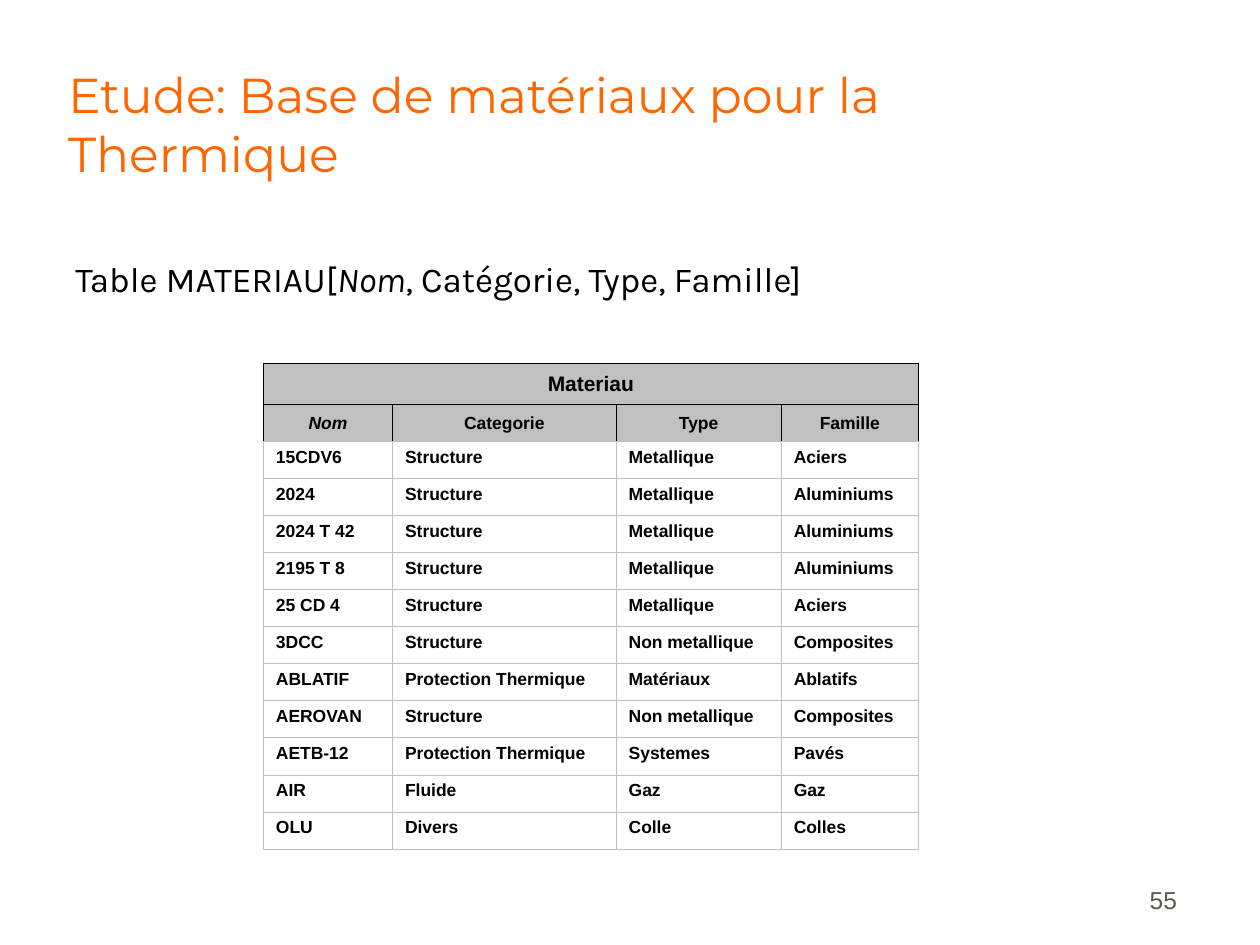
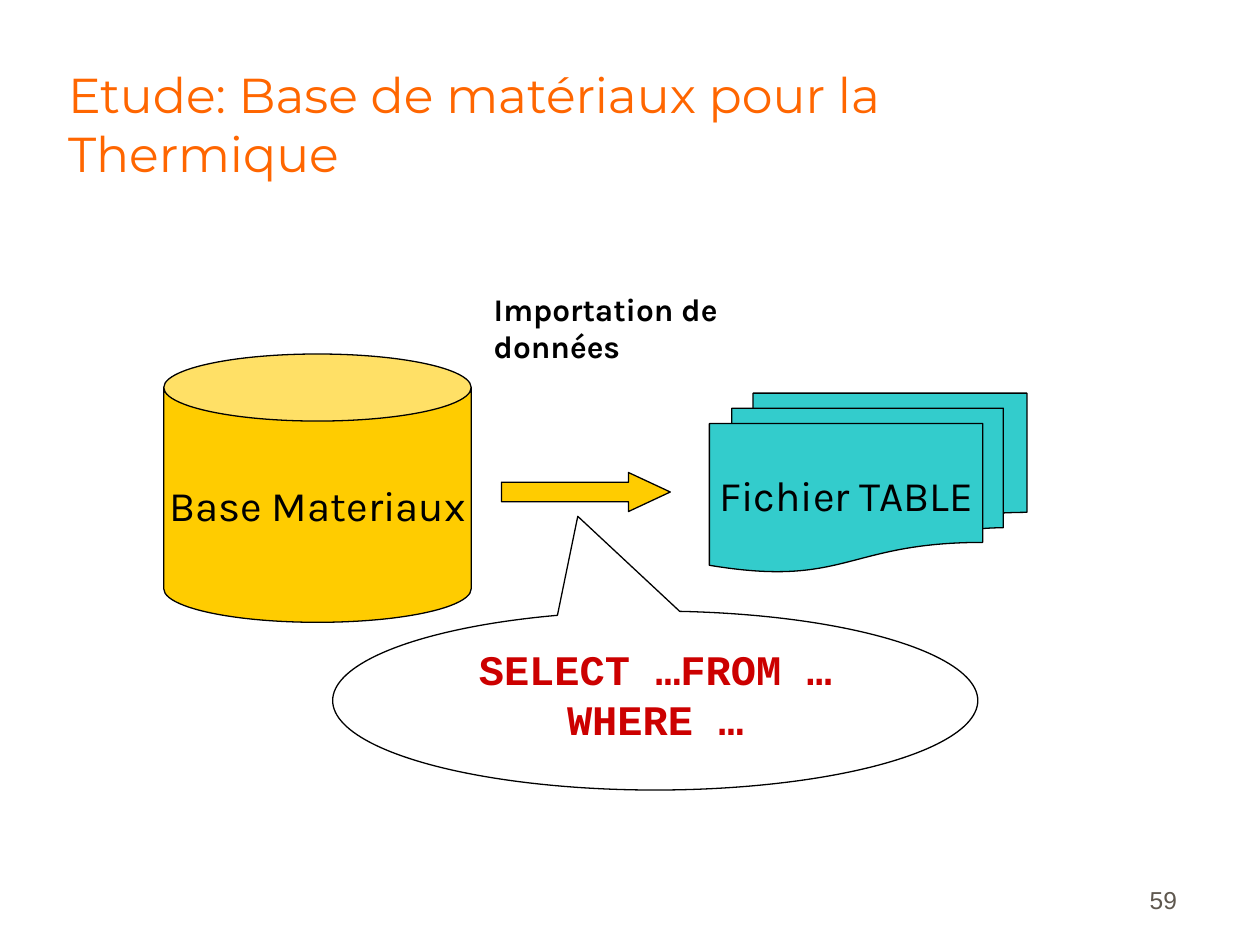
from dataclasses import dataclass
from typing import NamedTuple, Optional

import pptx
import pptx.dml.color
import pptx.enum.shapes
import pptx.enum.text
import pptx.oxml
import pptx.oxml.ns
import pptx.util
from pptx.presentation import Presentation
from pptx.shapes.autoshape import Shape
from pptx.slide import Slide
from pptx.table import _Cell as Cell
from pptx.text.text import TextFrame

Align = pptx.enum.text.PP_ALIGN
Anchor = pptx.enum.text.MSO_ANCHOR
Preset = pptx.enum.shapes.MSO_SHAPE

SLIDE_WIDTH = pptx.util.Inches(10)
SLIDE_HEIGHT = pptx.util.Inches(7.5)
GRID_COLUMNS, GRID_ROWS = 100, 75
TITLE_ONLY_LAYOUT = 5
TITLE = "Etude: Base de matériaux pour la Thermique"


@dataclass(frozen=True)
class Theme:
    title_color: str = "FF6600"
    text_color: str = "000000"
    number_color: str = "5E574E"
    query_color: str = "CC0000"
    database_fill: str = "FFCC00"
    file_fill: str = "33CCCC"
    header_fill: str = "C0C0C0"
    cell_fill: str = "FFFFFF"
    dark_border: str = "000000"
    light_border: str = "C0C0C0"
    title_font: str = "Montserrat"
    body_font: str = "Karla"
    table_font: str = "Arial"
    code_font: str = "Courier New"
    title_size: int = 28
    diagram_size: int = 24
    body_size: int = 20
    label_size: int = 18
    number_size: int = 14
    table_title_size: int = 12
    table_size: int = 10
    outline_width: float = 0.75
    border_width: float = 0.45


THEME = Theme()


class Frame(NamedTuple):
    """A rectangle in grid columns and rows."""
    left: float
    top: float
    width: float
    height: float


@dataclass(frozen=True)
class DiagramShape:
    preset: Preset
    frame: Frame
    fill: Optional[str] = None
    text: str = ""
    adjustments: tuple[float, ...] = ()
    font: str = THEME.body_font
    color: str = THEME.text_color
    bold: bool = False
    wrap: bool = False
    anchor: Anchor = Anchor.MIDDLE


NUMBER_FRAME = Frame(73.6, 68.1, 20.8, 5)
TABLE_LEFT, TABLE_TOP = 20.9, 28.8
TABLE_COLUMNS = (10.25, 17.75, 13.1, 10.9)
TABLE_TITLE_ROW, TABLE_ROW = 3.33, 2.94

TABLE_TITLE = "Materiau"
TABLE_HEADER = ("*Nom*", "Categorie", "Type", "Famille")
MATERIALS = (
    ("15CDV6", "Structure", "Metallique", "Aciers"),
    ("2024", "Structure", "Metallique", "Aluminiums"),
    ("2024 T 42", "Structure", "Metallique", "Aluminiums"),
    ("2195 T 8", "Structure", "Metallique", "Aluminiums"),
    ("25 CD 4", "Structure", "Metallique", "Aciers"),
    ("3DCC", "Structure", "Non metallique", "Composites"),
    ("ABLATIF", "Protection Thermique", "Matériaux", "Ablatifs"),
    ("AEROVAN", "Structure", "Non metallique", "Composites"),
    ("AETB-12", "Protection Thermique", "Systemes", "Pavés"),
    ("AIR", "Fluide", "Gaz", "Gaz"),
    ("OLU", "Divers", "Colle", "Colles"),
)

DATABASE = DiagramShape(Preset.CAN, Frame(13, 28.1, 24.4, 21.3),
                        THEME.database_fill, "Base Materiaux", (0.25,))
FILES = DiagramShape(Preset.FLOWCHART_MULTIDOCUMENT, Frame(56.3, 31.2, 25.2, 14.2),
                     THEME.file_fill, "Fichier TABLE")
IMPORT_ARROW = DiagramShape(Preset.RIGHT_ARROW, Frame(39.8, 37.5, 13.4, 3.1),
                            THEME.database_fill, adjustments=(0.5, 1.07))
QUERY = DiagramShape(Preset.OVAL_CALLOUT, Frame(26.4, 48.5, 51.2, 14.2),
                     text="SELECT …FROM … WHERE …", adjustments=(-0.12, -1.03),
                     font=THEME.code_font, color=THEME.query_color,
                     bold=True, wrap=True, anchor=Anchor.TOP)


def across(columns: float) -> int:
    return round(SLIDE_WIDTH * columns / GRID_COLUMNS)


def down(rows: float) -> int:
    return round(SLIDE_HEIGHT * rows / GRID_ROWS)


def place(frame: Frame) -> tuple[int, int, int, int]:
    return across(frame.left), down(frame.top), across(frame.width), down(frame.height)


def rgb(color: str) -> pptx.dml.color.RGBColor:
    return pptx.dml.color.RGBColor.from_string(color)


def write_text(text_frame: TextFrame, text: str, *, size: float,
               font: str = THEME.body_font, color: str = THEME.text_color,
               bold: bool = False, align: Align = Align.LEFT,
               anchor: Anchor = Anchor.TOP, wrap: bool = True,
               line_spacing: Optional[float] = None) -> None:
    """Write one paragraph; parts between asterisks are italic."""
    text_frame.word_wrap = wrap
    text_frame.vertical_anchor = anchor
    paragraph = text_frame.paragraphs[0]
    paragraph.alignment = align
    paragraph.line_spacing = line_spacing
    for index, part in enumerate(text.split("*")):
        if not part:
            continue
        run = paragraph.add_run()
        run.text = part
        run.font.name = font
        run.font.size = pptx.util.Pt(size)
        run.font.bold = bold
        run.font.italic = index % 2 == 1
        run.font.color.rgb = rgb(color)


def add_text(slide: Slide, frame: Frame, text: str, **text_format) -> None:
    box = slide.shapes.add_textbox(*place(frame))
    write_text(box.text_frame, text, **text_format)


def add_study_slide(presentation: Presentation, title_frame: Frame, number: int) -> Slide:
    slide = presentation.slides.add_slide(presentation.slide_layouts[TITLE_ONLY_LAYOUT])
    title = slide.shapes.title
    title.left, title.top, title.width, title.height = place(title_frame)
    title.text_frame.auto_size = pptx.enum.text.MSO_AUTO_SIZE.NONE
    write_text(title.text_frame, TITLE, size=THEME.title_size, font=THEME.title_font,
               color=THEME.title_color, anchor=Anchor.BOTTOM)
    add_text(slide, NUMBER_FRAME, str(number), size=THEME.number_size,
             font=THEME.table_font, color=THEME.number_color,
             align=Align.RIGHT, anchor=Anchor.BOTTOM)
    return slide


def set_borders(cell: Cell, color: str, bottom_color: str) -> None:
    properties = cell._tc.get_or_add_tcPr()
    width = pptx.util.Pt(THEME.border_width)
    colors = {"lnL": color, "lnR": color, "lnT": color, "lnB": bottom_color}
    for index, (side, side_color) in enumerate(colors.items()):
        properties.insert(index, pptx.oxml.parse_xml(
            f'<a:{side} {pptx.oxml.ns.nsdecls("a")} w="{width}"><a:solidFill>'
            f'<a:srgbClr val="{side_color}"/></a:solidFill></a:{side}>'))


def add_materials_table(slide: Slide) -> None:
    title_row = (TABLE_TITLE,) + ("",) * (len(TABLE_COLUMNS) - 1)
    rows = (title_row, TABLE_HEADER) + MATERIALS
    heights = (TABLE_TITLE_ROW,) + (TABLE_ROW,) * (len(rows) - 1)
    frame = Frame(TABLE_LEFT, TABLE_TOP, sum(TABLE_COLUMNS), sum(heights))
    table = slide.shapes.add_table(len(rows), len(TABLE_COLUMNS), *place(frame)).table
    table.first_row = table.horz_banding = False
    for column, width in zip(table.columns, TABLE_COLUMNS):
        column.width = across(width)
    for row_index, (texts, height) in enumerate(zip(rows, heights)):
        table.rows[row_index].height = down(height)
        is_header = row_index < 2
        for column_index, text in enumerate(texts):
            cell = table.cell(row_index, column_index)
            cell.fill.solid()
            cell.fill.fore_color.rgb = rgb(THEME.header_fill if is_header else THEME.cell_fill)
            set_borders(cell, THEME.dark_border if is_header else THEME.light_border,
                        THEME.dark_border if row_index == 0 else THEME.light_border)
            cell.vertical_anchor = Anchor.MIDDLE if is_header else Anchor.TOP
            write_text(cell.text_frame, text, font=THEME.table_font, bold=True,
                       size=THEME.table_title_size if row_index == 0 else THEME.table_size,
                       align=Align.CENTER if is_header else Align.LEFT)
    table.cell(0, 0).merge(table.cell(0, len(TABLE_COLUMNS) - 1))


def add_diagram_shape(slide: Slide, item: DiagramShape) -> Shape:
    shape = slide.shapes.add_shape(item.preset, *place(item.frame))
    shape.shadow.inherit = False
    for index, value in enumerate(item.adjustments):
        shape.adjustments[index] = value
    if item.fill:
        shape.fill.solid()
        shape.fill.fore_color.rgb = rgb(item.fill)
    else:
        shape.fill.background()
    shape.line.color.rgb = rgb(THEME.text_color)
    shape.line.width = pptx.util.Pt(THEME.outline_width)
    if item.text:
        write_text(shape.text_frame, item.text, size=THEME.diagram_size, font=item.font,
                   color=item.color, bold=item.bold, wrap=item.wrap,
                   align=Align.CENTER, anchor=item.anchor)
    return shape


def build_table_slide(presentation: Presentation) -> None:
    slide = add_study_slide(presentation, Frame(4.4, 9.1, 86.5, 5.9), 55)
    add_text(slide, Frame(5, 20.6, 71, 6.6), "Table MATERIAU[*Nom*, Catégorie, Type, Famille]",
             size=THEME.body_size, line_spacing=0.8)
    add_materials_table(slide)


def build_import_slide(presentation: Presentation) -> None:
    slide = add_study_slide(presentation, Frame(4.4, 2.5, 85, 12.5), 59)
    for item in (DATABASE, FILES, IMPORT_ARROW):
        add_diagram_shape(slide, item)
    add_text(slide, Frame(38.2, 22.5, 25.2, 7), "Importation de données",
             size=THEME.label_size, bold=True)
    add_diagram_shape(slide, QUERY)


def main() -> None:
    presentation = pptx.Presentation()
    presentation.slide_width = SLIDE_WIDTH
    presentation.slide_height = SLIDE_HEIGHT
    build_table_slide(presentation)
    build_import_slide(presentation)
    presentation.save("out.pptx")


if __name__ == "__main__":
    main()
